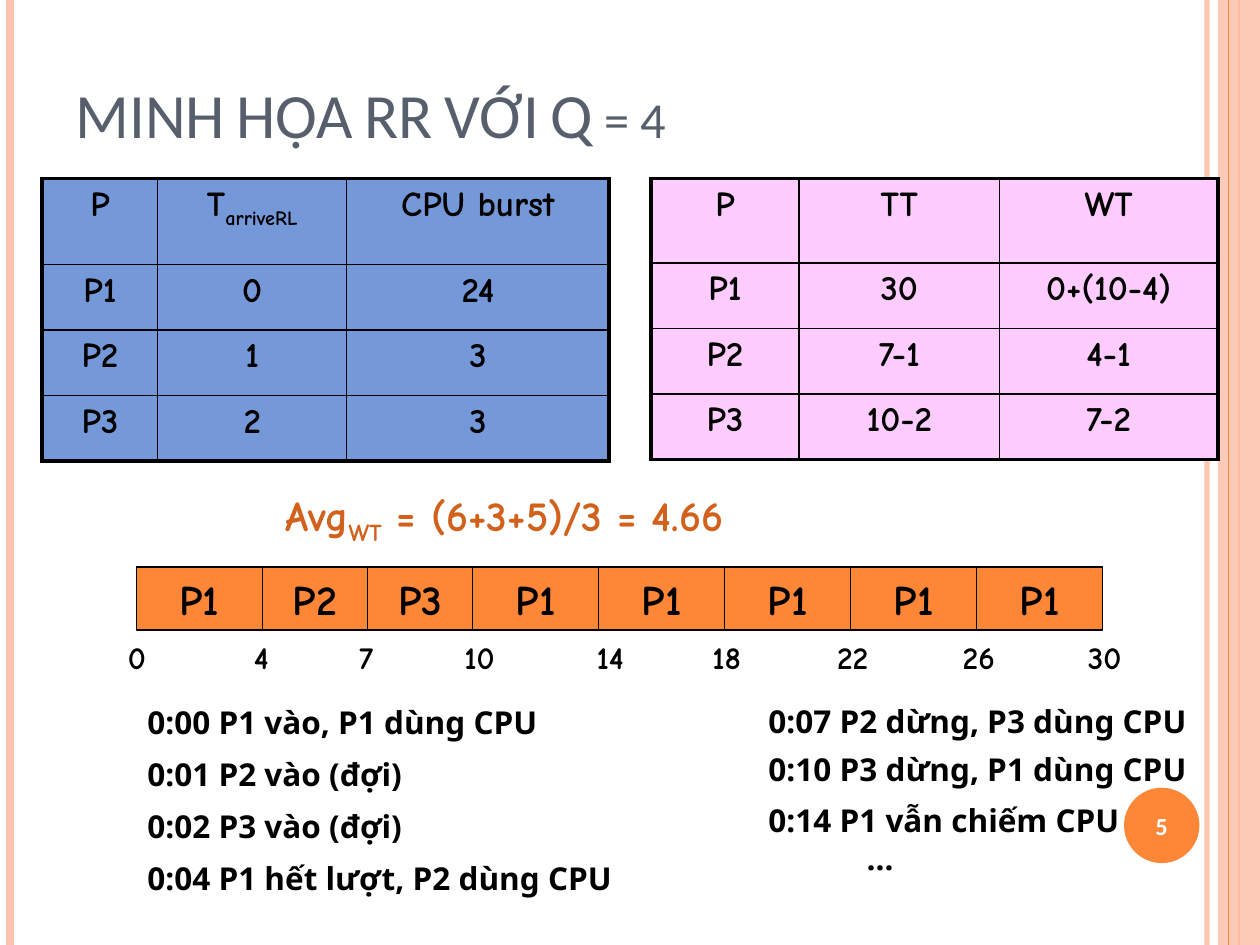
from dataclasses import dataclass
from typing import Any

from lxml import etree
from pptx import Presentation
from pptx.dml.color import RGBColor
from pptx.enum import shapes, text
from pptx.oxml import ns
from pptx.util import Cm, Pt

COMIC, SANS, CALIBRI = "Comic Neue", "Noto Sans", "Calibri"
BLACK, ORANGE, PEACH = "000000", "FE8637", "FEC3AE"
WIDTH, HEIGHT = 25.4, 19.05
THIN, THICK = 1, 2.25
LEFT, CENTER = text.PP_ALIGN.LEFT, text.PP_ALIGN.CENTER


@dataclass
class Stripe:
    """A vertical line of the page frame."""
    x: float
    color: str
    weight: float
    opacity: int = 100


@dataclass
class Grid:
    """A table of processes; '_' in a cell starts a subscript."""
    left: float
    fill: str
    columns: list[float]
    heading_height: float
    rows: list[list[str]]


@dataclass
class Event:
    """A note on the timeline."""
    left: float
    top: float
    width: float
    words: str


def rgb(color: str) -> RGBColor:
    """Turn a hex string into a colour."""
    return RGBColor.from_string(color)


def set_opacity(shape: Any, percent: int) -> None:
    """Make the first colour of a shape partly transparent."""
    color = next(shape._element.spPr.iter(ns.qn("a:srgbClr")))
    etree.SubElement(color, ns.qn("a:alpha")).set("val", str(percent * 1000))


def write(paragraph: Any, words: str, align: Any = LEFT, font: str = COMIC,
          size: float = 18, color: str = BLACK, bold: bool = True) -> None:
    """Write words; parts between '_' marks alternate with subscripts."""
    paragraph.alignment = align
    for index, part in enumerate(words.split("_")):
        run = paragraph.add_run()
        run.text = part
        for name, value in {"name": font, "size": Pt(size), "bold": bold}.items():
            setattr(run.font, name, value)
        run.font.color.rgb = rgb(color)
        if index % 2:
            run._r.get_or_add_rPr().set("baseline", "-25000")


def add_text(slide: Any, left: float, top: float, width: float, height: float,
             words: str, wrap: bool = False, **style: Any) -> Any:
    """Add a text box and return its frame."""
    frame = slide.shapes.add_textbox(Cm(left), Cm(top), Cm(width), Cm(height)).text_frame
    frame.word_wrap = wrap
    write(frame.paragraphs[0], words, **style)
    return frame


def add_stripe(slide: Any, stripe: Stripe) -> None:
    """Draw a full-height line."""
    line = slide.shapes.add_connector(
        shapes.MSO_CONNECTOR.STRAIGHT, Cm(stripe.x), 0, Cm(stripe.x), Cm(HEIGHT))
    line.line.color.rgb = rgb(stripe.color)
    line.line.width = Pt(stripe.weight)
    etree.SubElement(line._element.spPr, ns.qn("a:effectLst"))
    if stripe.opacity < 100:
        set_opacity(line, stripe.opacity)


def add_block(slide: Any, kind: Any, left: float, top: float, width: float,
              height: float, fill: str, outlined: bool = False) -> Any:
    """Draw a filled preset shape."""
    shape = slide.shapes.add_shape(kind, Cm(left), Cm(top), Cm(width), Cm(height))
    shape.shadow.inherit = False
    shape.fill.solid()
    shape.fill.fore_color.rgb = rgb(fill)
    if outlined:
        shape.line.color.rgb = rgb(BLACK)
        shape.line.width = Pt(0.75)
    else:
        shape.line.fill.background()
    frame = shape.text_frame
    frame.vertical_anchor = text.MSO_ANCHOR.MIDDLE
    frame.word_wrap = False
    return shape


def set_borders(cell: Any, weights: dict[str, float]) -> None:
    """Draw the four black borders of a cell."""
    properties = cell._tc.get_or_add_tcPr()
    for index, (side, weight) in enumerate(weights.items()):
        line = etree.Element(ns.qn(f"a:ln{side}"), w=str(Pt(weight)))
        fill = etree.SubElement(line, ns.qn("a:solidFill"))
        etree.SubElement(fill, ns.qn("a:srgbClr"), val=BLACK)
        properties.insert(index, line)


def add_grid(slide: Any, grid: Grid) -> None:
    """Add a table with a thick frame and thin inner lines."""
    heights = [grid.heading_height] + [1.32] * (len(grid.rows) - 1)
    frame = slide.shapes.add_table(
        len(heights), len(grid.columns), Cm(grid.left), Cm(3.6),
        Cm(sum(grid.columns)), Cm(sum(heights)))
    table = frame.table
    for column, width in zip(table.columns, grid.columns):
        column.width = Cm(width)
    for row, height in zip(table.rows, heights):
        row.height = Cm(height)
    last_row, last_column = len(heights) - 1, len(grid.columns) - 1
    for r, row in enumerate(grid.rows):
        for c, words in enumerate(row):
            cell = table.cell(r, c)
            cell.fill.solid()
            cell.fill.fore_color.rgb = rgb(grid.fill)
            write(cell.text_frame.paragraphs[0], words, align=CENTER, size=20)
            outer = {"L": c == 0, "R": c == last_column, "T": r == 0, "B": r == last_row}
            set_borders(cell, {side: THICK if edge else THIN for side, edge in outer.items()})


def add_timeline(slide: Any, turns: list[tuple[str, int]]) -> None:
    """Draw the turns in a row with the times under their edges."""
    widths = {3: 2.12, 4: 2.54}
    x, time = 2.75, 0
    for process, length in turns + [("", 0)]:
        offset = 0.42 if time < 18 else 0.61
        add_text(slide, x - offset, 12.73, 0.89 if time < 10 else 1.3, 1.02, str(time),
                 align=LEFT if time < 14 else CENTER)
        if process:
            block = add_block(slide, shapes.MSO_SHAPE.RECTANGLE, x, 11.43,
                              widths[length], 1.27, ORANGE, outlined=True)
            write(block.text_frame.paragraphs[0], process, align=CENTER, size=24)
            x += widths[length]
            time += length


def add_title(slide: Any, words: str) -> None:
    """Place and format the title."""
    title = slide.shapes.title
    for name, value in {"left": 1.27, "top": 0, "width": 20.75, "height": 3.18}.items():
        setattr(title, name, Cm(value))
    frame = title.text_frame
    frame.vertical_anchor = text.MSO_ANCHOR.BOTTOM
    frame.auto_size = text.MSO_AUTO_SIZE.NONE
    write(frame.paragraphs[0], words, font=CALIBRI, size=36, color="575F6D", bold=False)
    frame.paragraphs[0].runs[0]._r.get_or_add_rPr().set("cap", "small")


STRIPES = [Stripe(24.33, PEACH, 3, 93), Stripe(0.21, PEACH, 4.5),
           Stripe(24.98, ORANGE, 1.5), Stripe(24.77, ORANGE, 0.75)]
GRIDS = [
    Grid(0.85, "7598D9", [2.33, 3.81, 5.29], 1.73,
         [["P", "T_arriveRL", "CPU burst"], ["P1", "0", "24"],
          ["P2", "1", "3"], ["P3", "2", "3"]]),
    Grid(13.12, "FFCCFF", [2.99, 4.04, 4.4], 1.7,
         [["P", "TT", "WT"], ["P1", "30", "0+(10-4)"],
          ["P2", "7-1", "4-1"], ["P3", "10-2", "7-2"]]),
]
TURNS = [("P1", 4), ("P2", 3), ("P3", 3)] + [("P1", 4)] * 5
EVENTS = [
    Event(2.72, 14.05, 8.79, "0:00 P1 vào, P1 dùng CPU"),
    Event(2.72, 15.1, 6.05, "0:01 P2 vào (đợi)"),
    Event(2.72, 16.14, 6.05, "0:02 P3 vào (đợi)"),
    Event(2.72, 17.19, 10.19, "0:04 P1 hết lượt, P2 dùng CPU"),
    Event(15.24, 14.02, 9.32, "0:07 P2 dừng, P3 dùng CPU"),
    Event(15.24, 14.99, 9.32, "0:10 P3 dừng, P1 dùng CPU"),
    Event(15.24, 16.03, 7.9, "0:14 P1 vẫn chiếm CPU"),
]

presentation = Presentation()
presentation.slide_width, presentation.slide_height = Cm(WIDTH), Cm(HEIGHT)
slide = presentation.slides.add_slide(presentation.slide_layouts[5])
add_title(slide, "MINH HỌA RR VỚI Q = 4")

for stripe in STRIPES[:3]:
    add_stripe(slide, stripe)
band = add_block(slide, shapes.MSO_SHAPE.RECTANGLE, 24.55, 0, 0.85, HEIGHT, PEACH)
set_opacity(band, 87)
add_stripe(slide, STRIPES[3])
badge = add_block(slide, shapes.MSO_SHAPE.OVAL, 22.66, 15.88, 1.52, 1.52, ORANGE)
write(badge.text_frame.paragraphs[0], "5", align=CENTER, font=CALIBRI, size=14, color="FFFFFF")

for grid in GRIDS:
    add_grid(slide, grid)
add_text(slide, 5.5, 9.74, 13.55, 1.27, "Avg_WT_ = (6+3+5)/3 = 4.66",
         wrap=True, size=24, color="D2611C")
add_timeline(slide, TURNS)
for event in EVENTS:
    notes = add_text(slide, event.left, event.top, event.width, 1.02, event.words, font=SANS)
ellipsis = notes.add_paragraph()
write(ellipsis, "…", font=SANS)
ellipsis._p.get_or_add_pPr().set("marL", str(Cm(1.98)))

presentation.save("out.pptx")
